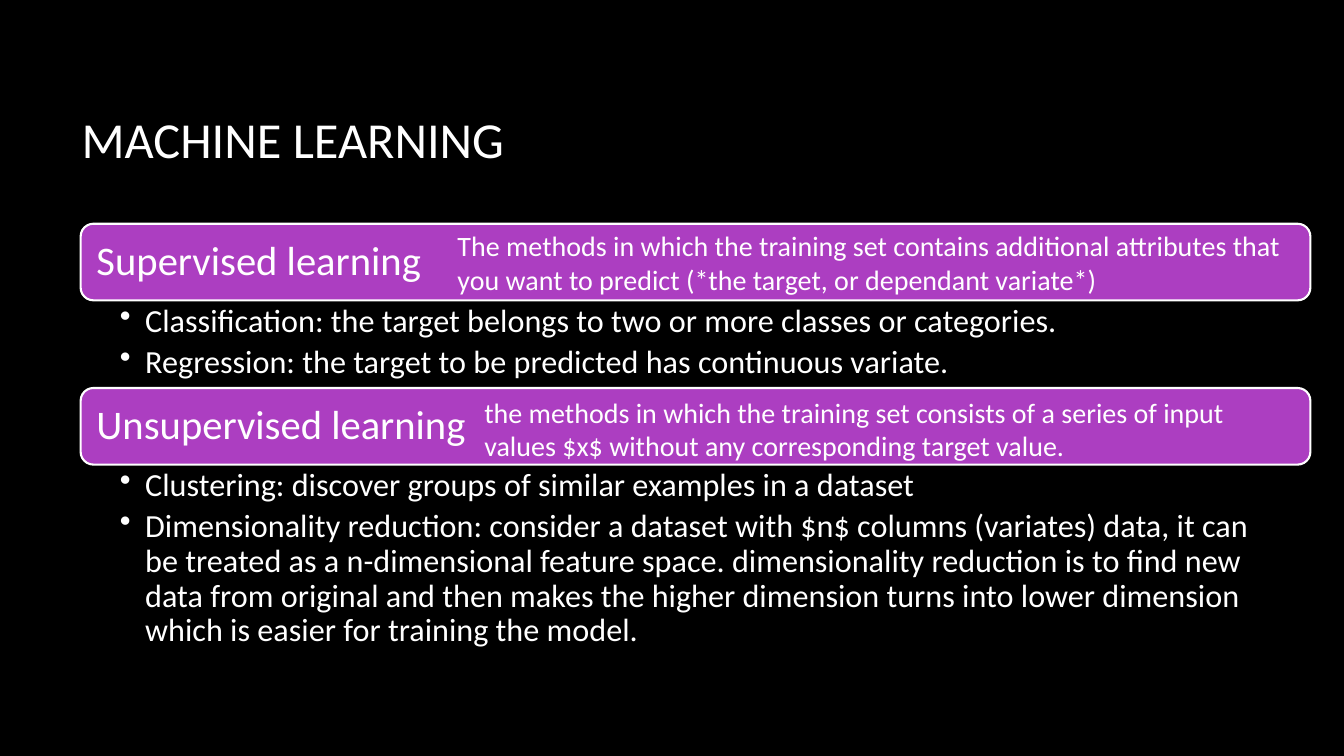
import pptx
import pptx.dml.color
import pptx.enum.shapes
import pptx.enum.text
import pptx.oxml.ns
import pptx.util
from lxml import etree

SLIDE_W, SLIDE_H = pptx.util.Inches(13.333), pptx.util.Inches(7.5)
FONT = "Calibri"
BLACK, WHITE, PURPLE = "000000", "FFFFFF", "AC3EC1"
MIDDLE = pptx.enum.text.MSO_ANCHOR.MIDDLE
TOP = pptx.enum.text.MSO_ANCHOR.TOP

# Lengths are percentages of the slide's width and height
LEFT, WIDTH = 6, 91.5
FIRST_BAR_TOP, BAR_H = 29.6, 10.13

# Heading, definition, definition (left, top offset, width), bullets, bullet area height
SECTIONS = [
    ("Supervised learning",
     "The methods in which the training set contains additional attributes that "
     "you want to predict (*the target, or dependant variate*)",
     (33.3, 0, 64.2),
     ["Classification: the target belongs to two or more classes or categories.",
      "Regression: the target to be predicted has continuous variate."],
     11.6),
    ("Unsupervised learning",
     "the methods in which the training set consists of a series of input "
     "values $x$ without any corresponding target value.",
     (35.3, 0.27, 57),
     ["Clustering: discover groups of similar examples in a dataset",
      "Dimensionality reduction: consider a dataset with $n$ columns (variates) data, "
      "it can be treated as a n-dimensional feature space. dimensionality reduction is "
      "to find new data from original and then makes the higher dimension turns into "
      "lower dimension which is easier for training the model."],
     25.87),
]


def color(value):
    return pptx.dml.color.RGBColor.from_string(value)


def area(left, top, width, height):
    return (int(SLIDE_W * left / 100), int(SLIDE_H * top / 100),
            int(SLIDE_W * width / 100), int(SLIDE_H * height / 100))


def setup_frame(tf, anchor, insets):
    tf.word_wrap = True
    tf.vertical_anchor = anchor
    tf.margin_left, tf.margin_top, tf.margin_right, tf.margin_bottom = (
        pptx.util.Inches(inset) for inset in insets)


def write(p, text, size, line_spacing=None):
    p.alignment = pptx.enum.text.PP_ALIGN.LEFT
    if line_spacing:
        p.line_spacing = line_spacing
    r = p.add_run()
    r.text = text
    r.font.name, r.font.size = FONT, pptx.util.Pt(size)
    r.font.color.rgb = color(WHITE)


def add_text(s, box, text, size, anchor=TOP):
    tf = s.shapes.add_textbox(*area(*box)).text_frame
    setup_frame(tf, anchor, (0.1, 0.05, 0.1, 0.05))
    write(tf.paragraphs[0], text, size)


def add_bar(s, box, heading):
    sp = s.shapes.add_shape(
        pptx.enum.shapes.MSO_SHAPE.ROUNDED_RECTANGLE, *area(*box))
    sp.shadow.inherit = False
    sp.fill.solid()
    sp.fill.fore_color.rgb = color(PURPLE)
    sp.line.color.rgb = color(WHITE)
    sp.line.width = pptx.util.Pt(1.5)
    setup_frame(sp.text_frame, MIDDLE, (0.12, 0.12, 0.12, 0.12))
    write(sp.text_frame.paragraphs[0], heading, 29, 0.9)


def add_bullets(s, box, items):
    tf = s.shapes.add_textbox(*area(*box)).text_frame
    setup_frame(tf, TOP, (0.39, 0.04, 0.23, 0.04))
    for i, item in enumerate(items):
        p = tf.add_paragraph() if i else tf.paragraphs[0]
        p.level = 1
        write(p, item, 23, 0.9)
        p.space_after = pptx.util.Pt(4.6)
        # Hanging indent and bullet sign
        pPr = p._p.get_or_add_pPr()
        indent = pptx.util.Inches(0.25)
        pPr.set("marL", str(indent))
        pPr.set("indent", str(-indent))
        etree.SubElement(pPr, pptx.oxml.ns.qn("a:buChar"), char="•")


def main():
    prs = pptx.Presentation()
    prs.slide_width, prs.slide_height = SLIDE_W, SLIDE_H
    s = prs.slides.add_slide(prs.slide_layouts[6])
    s.background.fill.solid()
    s.background.fill.fore_color.rgb = color(BLACK)

    # Title
    add_text(s, (5.33, 7.73, 83.1, 21.2), "MACHINE LEARNING", 36, MIDDLE)

    # Learning types, stacked without gaps
    top = FIRST_BAR_TOP
    for heading, definition, (left, offset, width), items, items_h in SECTIONS:
        add_bar(s, (LEFT, top, WIDTH, BAR_H), heading)
        add_bullets(s, (LEFT, top + BAR_H, WIDTH, items_h), items)
        add_text(s, (left, top + offset, width, BAR_H), definition, 20)
        top += BAR_H + items_h

    prs.save("out.pptx")


if __name__ == "__main__":
    main()
